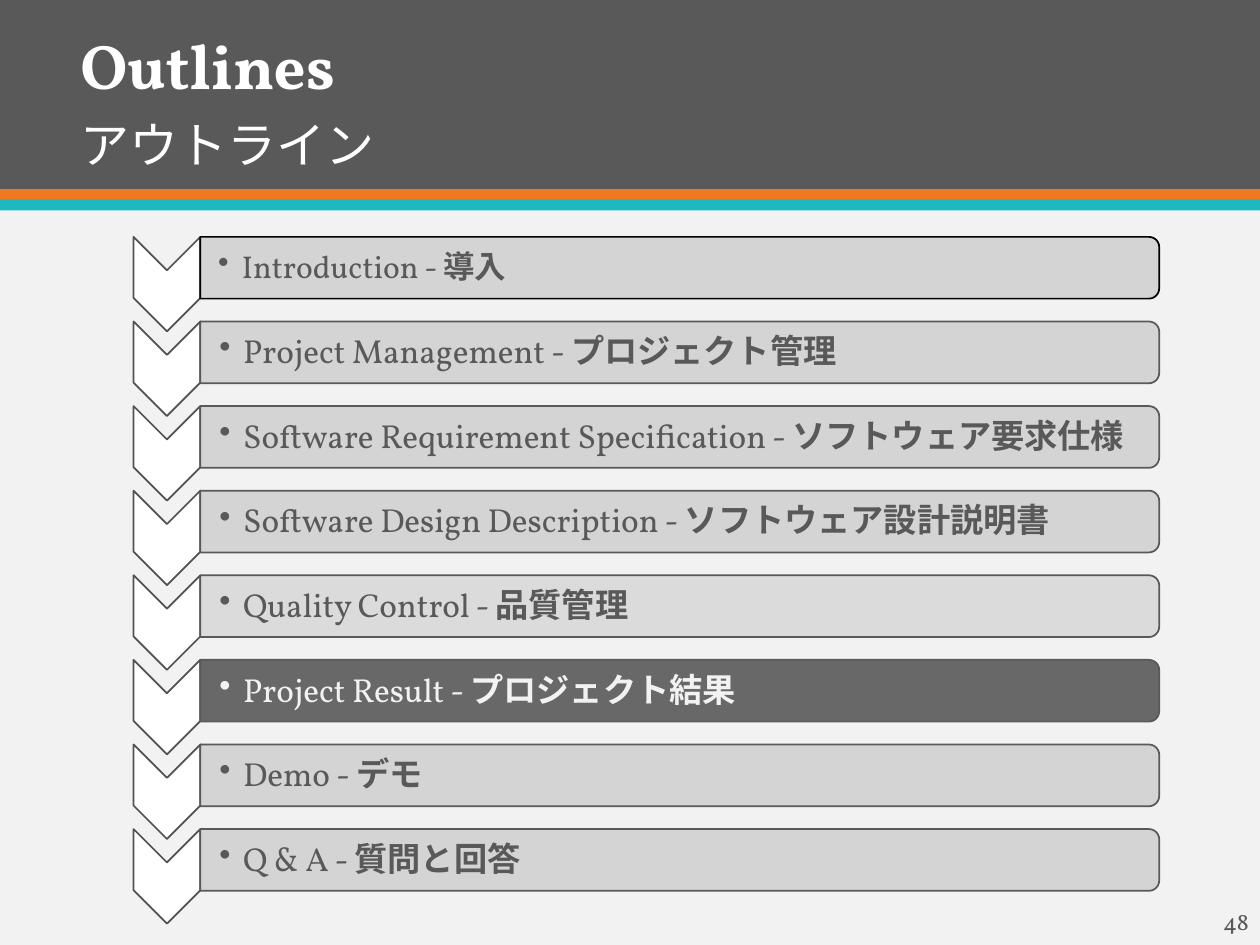
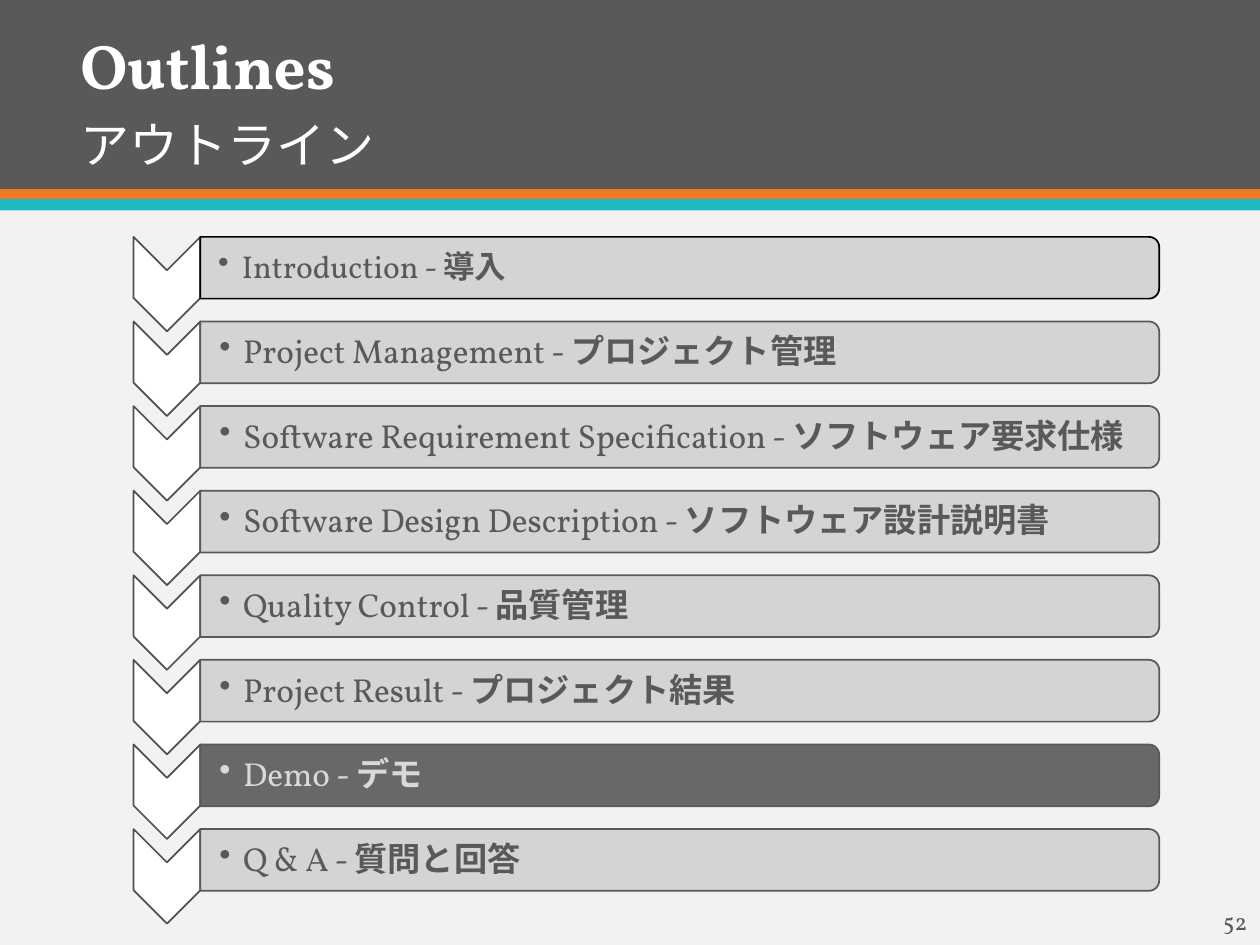
from lxml import etree
from pptx import Presentation
from pptx.dml.color import RGBColor
from pptx.enum import lang, shapes, text
from pptx.oxml.ns import qn
from pptx.util import Inches, Pt

TOPICS = [
    ("Introduction", "導入"),
    ("Project Management", "プロジェクト管理"),
    ("Software Requirement Specification", "ソフトウェア要求仕様"),
    ("Software Design Description", "ソフトウェア設計説明書"),
    ("Quality Control", "品質管理"),
    ("Project Result", "プロジェクト結果"),
    ("Demo", "デモ"),
    ("Q & A", "質問と回答"),
]
WHITE = RGBColor(0xFF, 0xFF, 0xFF)
BLACK = RGBColor(0, 0, 0)
PAPER = RGBColor(0xF2, 0xF2, 0xF2)
DARK = RGBColor(0x59, 0x59, 0x59)
EDGE = RGBColor(0x51, 0x51, 0x51)
PALE = RGBColor(0xD1, 0xD1, 0xD1)
SILVER = RGBColor(0xD9, 0xD9, 0xD9)
ORANGE = RGBColor(0xEF, 0x79, 0x20)
TEAL = RGBColor(0x1E, 0xB8, 0xC1)
FONT = "Vollkorn"

OUTLINES = [
    {"page": "48", "current": "Project Result", "current_ink": PAPER,
     "fills": {"Quality Control": SILVER}},
    {"page": "52", "current": "Demo", "current_ink": SILVER, "fills": {}},
]
BANDS = [(0, 1.5, DARK), (1.5, 0.09, ORANGE), (1.58, 0.09, TEAL)]

FIRST_TOP, LAST_TOP = 1.88, 6.58
PITCH = (LAST_TOP - FIRST_TOP) / (len(TOPICS) - 1)
STEP_LEFT, STEP_WIDTH, STEP_HEIGHT = 1.06, 0.53, 0.75
BAR_LEFT, BAR_WIDTH, BAR_HEIGHT = 1.59, 7.61, 0.49


def add_panel(slide, preset, left, top, width, height, fill, edge=None, turned=False):
    if turned:
        left, top = left + (width - height) / 2, top + (height - width) / 2
        width, height = height, width
    panel = slide.shapes.add_shape(preset, *map(Inches, (left, top, width, height)))
    panel.rotation = 90 if turned else 0
    panel.shadow.inherit = False
    panel.fill.solid()
    panel.fill.fore_color.rgb = fill
    if edge is None:
        panel.line.fill.background()
    else:
        panel.line.color.rgb = edge
        panel.line.width = Pt(1)
    return panel


def set_opacity(panel, percent):
    colour = panel.fill._xPr.find(qn("a:solidFill"))[0]
    etree.SubElement(colour, qn("a:alpha")).set("val", str(percent * 1000))


def add_bullet(paragraph, indent):
    properties = paragraph._p.get_or_add_pPr()
    properties.set("marL", str(Inches(indent)))
    properties.set("indent", str(-Inches(indent)))
    etree.SubElement(properties, qn("a:buChar")).set("char", "•")


def add_text(slide, left, top, width, height, runs, size, ink, bullet=False,
             spacing=None, **frame_format):
    box = slide.shapes.add_textbox(*map(Inches, (left, top, width, height)))
    for name, value in {"word_wrap": True, **frame_format}.items():
        setattr(box.text_frame, name, value)
    paragraph = box.text_frame.paragraphs[0]
    if spacing:
        paragraph.line_spacing = spacing
    if bullet:
        add_bullet(paragraph, 0.19)
    paragraph.font.size = Pt(size)
    for words, run_format in runs:
        run = paragraph.add_run()
        run.text = words
        for name, value in {"name": FONT, "size": Pt(size), **run_format}.items():
            setattr(run.font, name, value)
        run.font.color.rgb = ink


def add_header(slide):
    slide.background.fill.solid()
    slide.background.fill.fore_color.rgb = PAPER
    for top, height, colour in BANDS:
        add_panel(slide, shapes.MSO_SHAPE.RECTANGLE, 0, top, 10, height, colour)
    add_text(slide, 0.54, 0.72, 7.88, 0.71,
             [("アウトライン", {"language_id": lang.MSO_LANGUAGE_ID.JAPANESE})],
             28, WHITE, spacing=0.9, vertical_anchor=text.MSO_ANCHOR.BOTTOM)
    add_text(slide, 0.54, 0.16, 2.22, 0.71, [("Outlines", {"bold": True})], 36, WHITE,
             word_wrap=False, auto_size=text.MSO_AUTO_SIZE.SHAPE_TO_FIT_TEXT)


def add_topic(slide, index, outline):
    english, japanese = TOPICS[index]
    top = FIRST_TOP + index * PITCH
    first = index == 0
    current = english == outline["current"]
    fill = DARK if current else outline["fills"].get(english, PALE)

    add_panel(slide, shapes.MSO_SHAPE.CHEVRON, STEP_LEFT, top, STEP_WIDTH,
              STEP_HEIGHT, WHITE, EDGE, turned=True)
    bar = add_panel(slide, shapes.MSO_SHAPE.ROUND_2_SAME_RECTANGLE, BAR_LEFT, top,
                    BAR_WIDTH, BAR_HEIGHT, fill, BLACK if first else DARK, turned=True)
    set_opacity(bar, 90)
    add_text(slide, BAR_LEFT, top + 0.03, 7.58, 0.44,
             [(f"{english} - ", {}),
              (japanese, {"bold": True, "language_id": lang.MSO_LANGUAGE_ID.JAPANESE})],
             18 if first else 19, outline["current_ink"] if current else DARK,
             bullet=True, spacing=0.9, vertical_anchor=text.MSO_ANCHOR.MIDDLE,
             margin_left=Inches(0.14 if first else 0.15), margin_right=Inches(0.01),
             margin_top=Inches(0.01), margin_bottom=Inches(0.01))


def main():
    deck = Presentation()
    deck.slide_width, deck.slide_height = Inches(10), Inches(7.5)
    for outline in OUTLINES:
        slide = deck.slides.add_slide(deck.slide_layouts[6])
        add_header(slide)
        for index in range(len(TOPICS)):
            add_topic(slide, index, outline)
        add_text(slide, 9.61, 7.15, 0.39, 0.3, [(outline["page"], {})], 13.5, DARK,
                 margin_right=0)
    deck.save("out.pptx")


if __name__ == "__main__":
    main()
